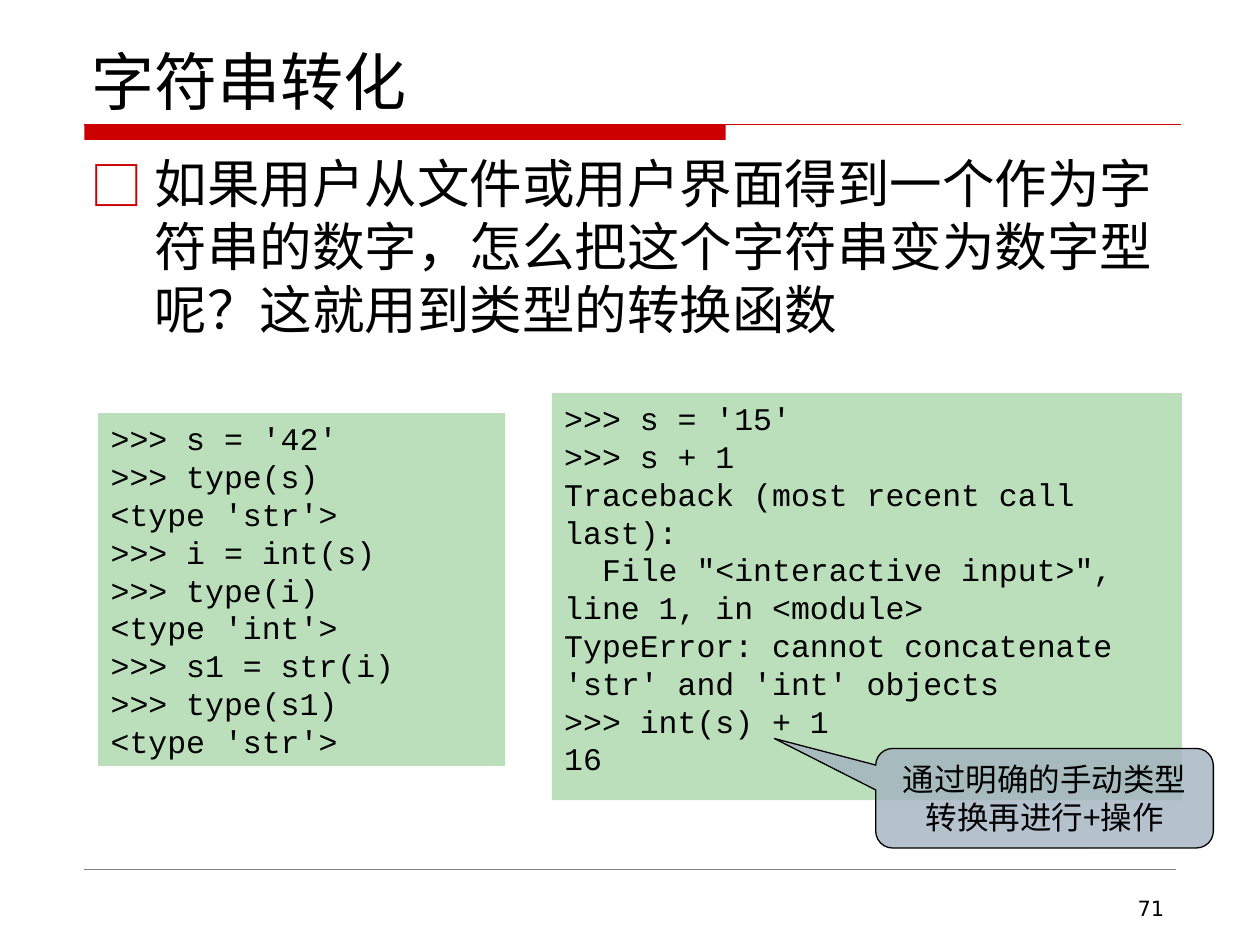
"""Build the slide on turning strings into numbers."""
from dataclasses import dataclass

from lxml import etree
from pptx import Presentation
from pptx.dml.color import RGBColor
from pptx.enum.shapes import MSO_CONNECTOR, MSO_SHAPE
from pptx.enum.text import MSO_ANCHOR, MSO_AUTO_SIZE, PP_ALIGN
from pptx.oxml.ns import qn
from pptx.util import Inches, Pt

RECT = MSO_SHAPE.RECTANGLE
CALLOUT = MSO_SHAPE.ROUNDED_RECTANGULAR_CALLOUT
STRAIGHT = MSO_CONNECTOR.STRAIGHT
TOP, MIDDLE, BOTTOM = MSO_ANCHOR.TOP, MSO_ANCHOR.MIDDLE, MSO_ANCHOR.BOTTOM
LEFT, CENTER, RIGHT = PP_ALIGN.LEFT, PP_ALIGN.CENTER, PP_ALIGN.RIGHT
FIXED = MSO_AUTO_SIZE.NONE

BLACK = RGBColor(0x00, 0x00, 0x00)
RED = RGBColor(0xCC, 0x00, 0x00)
GRAY = RGBColor(0x80, 0x80, 0x80)
GREEN = RGBColor(0xBB, 0xDF, 0xBB)
BLUE = RGBColor(0xA3, 0xB2, 0xC1)

SANS = "DejaVu Sans"
HAN = "Noto Sans CJK SC"
MONO = "Courier New"


@dataclass
class Box:
    left: float
    top: float
    width: float
    height: float

    def spans(self) -> list:
        return [Inches(v) for v in (self.left, self.top, self.width, self.height)]


@dataclass
class Code:
    box: Box
    lines: list[str]


CODES = [
    Code(Box(0.78, 3.28, 3.23, 2.8), [
        ">>> s = '42'",
        ">>> type(s)",
        "<type 'str'>",
        ">>> i = int(s)",
        ">>> type(i)",
        "<type 'int'>",
        ">>> s1 = str(i)",
        ">>> type(s1)",
        "<type 'str'>",
    ]),
    Code(Box(4.38, 3.12, 5, 3.23), [
        ">>> s = '15'",
        ">>> s + 1",
        "Traceback (most recent call last):",
        "  File \"<interactive input>\", line 1, in <module>",
        "TypeError: cannot concatenate 'str' and 'int' objects",
        ">>> int(s) + 1",
        "16",
    ]),
]


def write(shape, lines: list[str], *, size: float, font: str, align=LEFT,
          anchor=TOP, pitch: float | None = None) -> None:
    frame = shape.text_frame
    frame.word_wrap = True
    frame.auto_size = FIXED
    frame.vertical_anchor = anchor
    for i, line in enumerate(lines):
        para = frame.paragraphs[0] if i == 0 else frame.add_paragraph()
        para.alignment = align
        if pitch:
            para.line_spacing = Pt(pitch)
        run = para.add_run()
        run.text = line
        run.font.size = Pt(size)
        run.font.name = font
        run.font.color.rgb = BLACK
        face = etree.SubElement(run.font._element, qn("a:ea"))
        face.set("typeface", font)


def place(shape, box: Box) -> None:
    shape.left, shape.top, shape.width, shape.height = box.spans()


def block(slide, kind, box: Box, fill: RGBColor):
    shape = slide.shapes.add_shape(kind, *box.spans())
    shape.shadow.inherit = False
    shape.fill.solid()
    shape.fill.fore_color.rgb = fill
    shape.line.fill.background()
    return shape


def rule(slide, left: float, right: float, top: float, color: RGBColor,
         width: float) -> None:
    line = slide.shapes.add_connector(
        STRAIGHT, Inches(left), Inches(top), Inches(right), Inches(top))
    line.line.color.rgb = color
    line.line.width = Pt(width)
    etree.SubElement(line._element.spPr, qn("a:effectLst"))


def bullet(para, mark: str, color: RGBColor, indent: float) -> None:
    props = para._p.get_or_add_pPr()
    props.set("marL", str(Inches(indent)))
    props.set("indent", str(-Inches(indent)))
    tint = etree.SubElement(props, qn("a:buClr"))
    etree.SubElement(tint, qn("a:srgbClr")).set("val", str(color))
    etree.SubElement(props, qn("a:buFont")).set("typeface", HAN)
    etree.SubElement(props, qn("a:buChar")).set("char", mark)


def fade(shape, percent: int) -> None:
    tint = shape._element.spPr.find(qn("a:solidFill")).find(qn("a:srgbClr"))
    etree.SubElement(tint, qn("a:alpha")).set("val", str(percent * 1000))


def main() -> None:
    deck = Presentation()
    deck.slide_width, deck.slide_height = Inches(10), Inches(7.5)
    slide = deck.slides.add_slide(deck.slide_layouts[1])

    title, body = slide.placeholders
    place(title, Box(0.63, 0.33, 8.75, 0.66))
    write(title, ["字符串转化"], size=36, font=SANS, anchor=BOTTOM)

    place(body, Box(0.62, 1.15, 8.75, 5.43))
    write(body, ["如果用户从文件或用户界面得到一个作为字符串的数字，"
                 "怎么把这个字符串变为数字型呢？这就用到类型的转换函数"],
          size=30, font=HAN, pitch=36)
    para = body.text_frame.paragraphs[0]
    para.space_before = Pt(6)
    bullet(para, "□", RED, 0.51)

    block(slide, RECT, Box(0.67, 0.99, 5.09, 0.12), RED)
    rule(slide, 0.67, 9.37, 0.99, RED, 0.75)
    rule(slide, 0.67, 9.33, 6.9, GRAY, 0.25)

    page = slide.shapes.add_textbox(*Box(7.17, 7.06, 2.17, 0.29).spans())
    write(page, ["71"], size=12, font=SANS, align=RIGHT)

    for code in CODES:
        panel = block(slide, RECT, code.box, GREEN)
        write(panel, code.lines, size=18, font=MONO, pitch=21.6)

    note = block(slide, CALLOUT, Box(6.95, 5.94, 2.68, 0.79), BLUE)
    for i, value in enumerate((-0.8, -0.6, 0.17)):
        note.adjustments[i] = value
    fade(note, 80)
    note.line.color.rgb = BLACK
    note.line.width = Pt(0.75)
    write(note, ["通过明确的手动类型转换再进行+操作"], size=18, font=HAN,
          align=CENTER, anchor=MIDDLE, pitch=21.6)

    deck.save("out.pptx")


if __name__ == "__main__":
    main()
